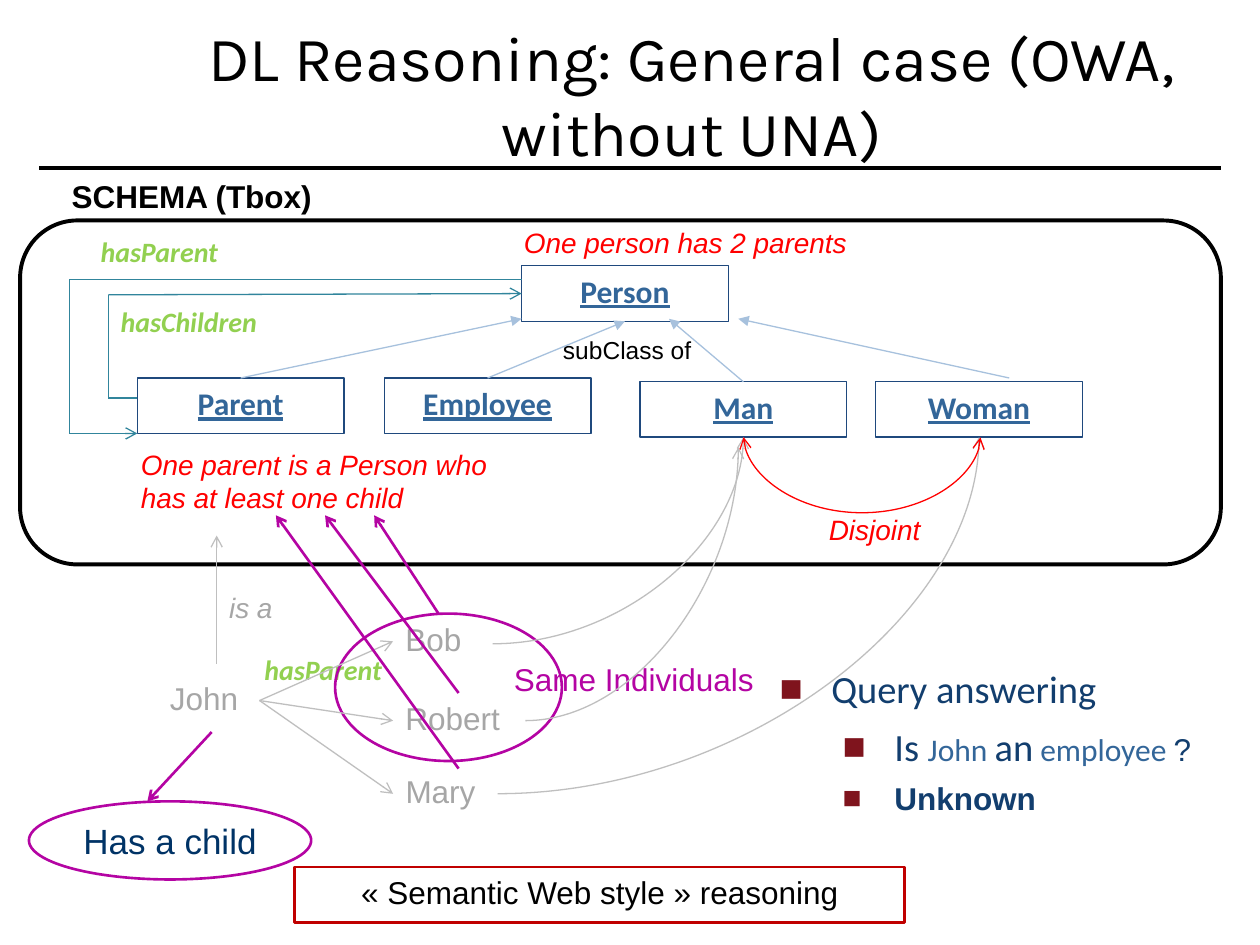
"""Build the slide on description logic reasoning in the general case."""
import pptx
import pptx.util
import pptx.dml.color
import pptx.enum.shapes
import pptx.enum.text
import pptx.oxml.ns
import pptx.oxml.xmlchemy

Pt = pptx.util.Pt
RGB = pptx.dml.color.RGBColor.from_string
qn = pptx.oxml.ns.qn
element = pptx.oxml.xmlchemy.OxmlElement
SHAPE = pptx.enum.shapes.MSO_SHAPE
CONN = pptx.enum.shapes.MSO_CONNECTOR
ANCHOR = pptx.enum.text.MSO_ANCHOR
AUTO = pptx.enum.text.MSO_AUTO_SIZE
LEFT, CENTER = pptx.enum.text.PP_ALIGN.LEFT, pptx.enum.text.PP_ALIGN.CENTER

THEME = {
    "title": dict(name="Karla", size=Pt(36), color="000000"),
    "class": dict(name="Calibri", size=Pt(18), bold=True, underline=True, color="336699"),
    "role": dict(name="Calibri", size=Pt(16), bold=True, italic=True, color="92D050"),
    "axiom": dict(name="Arial", size=Pt(16), italic=True, color="FF0000"),
    "schema": dict(name="Arial", size=Pt(18), bold=True, color="000000"),
    "small": dict(name="Arial", size=Pt(14), color="000000"),
    "person": dict(name="Arial", size=Pt(18), color="A6A6A6"),
    "is_a": dict(name="Arial", size=Pt(16), italic=True, color="A6A6A6"),
    "same": dict(name="Arial", size=Pt(18), color="B404A3"),
    "inferred": dict(name="Arial", size=Pt(20), color="003366"),
    "style": dict(name="Arial", size=Pt(18), color="000000"),
    "query": dict(name="Calibri", size=Pt(22), color="123E6E"),
    "term": dict(name="Calibri", size=Pt(18), color="336699"),
    "mark": dict(name="Arial", size=Pt(18), color="123E6E"),
    "answer": dict(name="Arial", size=Pt(18), bold=True, color="123E6E"),
    "black": "000000", "navy": "1F497D", "sky": "A7C1DD", "teal": "31859C",
    "red": "FF0000", "grey": "BFBFBF", "purple": "B404A3", "brick": "C00000",
    "white": "FFFFFF", "bullet": "7F141D",
}

prs = pptx.Presentation()
prs.slide_width, prs.slide_height = pptx.util.Inches(10), pptx.util.Inches(7.5)
col, row = prs.slide_width / 100, prs.slide_height / 75
s = prs.slides.add_slide(prs.slide_layouts[5])


def style(font, fmt):
    for key, value in fmt.items():
        if key == "color":
            font.color.rgb = RGB(value)
        else:
            setattr(font, key, value)


def line(start, end, color, width=0.75, head=None, tail=None, kind=CONN.STRAIGHT):
    c = s.shapes.add_connector(kind, int(start[0] * col), int(start[1] * row),
                               int(end[0] * col), int(end[1] * row))
    c.line.color.rgb, c.line.width = RGB(THEME[color]), Pt(width)
    spPr = c._element.spPr
    for tag, tip in (("a:headEnd", head), ("a:tailEnd", tail)):
        if tip:
            spPr.find(qn("a:ln")).append(element(tag))
            spPr.find(qn("a:ln"))[-1].set("type", tip)
    spPr.append(element("a:effectLst"))
    return c


line((3.1, 13.3), (96.9, 13.3), "black", 2.25)

title = s.shapes.title
title.left, title.top = int(14.8 * col), int(1.6 * row)
title.width, title.height = int(80.2 * col), int(11.7 * row)
tf = title.text_frame
tf.text = "DL Reasoning: General case (OWA, without UNA)"
tf.auto_size, tf.vertical_anchor = AUTO.NONE, ANCHOR.MIDDLE
tf.paragraphs[0].alignment = CENTER
style(tf.paragraphs[0].runs[0].font, THEME["title"])

labels = [
    ("hasChildren", 8.6, 23.7, 15, 3.7, "role", False),
    ("One parent is a Person who has at least one child", 10.2, 35, 30.5, 9.1, "axiom", True),
    ("hasParent", 7, 18.1, 12.9, 3.7, "role", False),
    ("One person has 2 parents", 40.6, 17.4, 30.5, 6.4, "axiom", True),
    ("SCHEMA (Tbox)", 4.7, 13.6, 21.6, 4, "schema", False),
    ("Disjoint", 64.8, 40.2, 9.3, 3.7, "axiom", False),
    ("subClass of", 43.7, 26.1, 12.3, 3.4, "small", False),
    ("John", 12.5, 53.4, 8.1, 4.4, "person", False),
    ("is a", 17.2, 46.4, 5.5, 3.7, "is_a", False),
    ("Bob", 31.2, 48.7, 7, 4.4, "person", False),
    ("Robert", 31.2, 55, 10.4, 4.4, "person", False),
    ("Mary", 31.2, 60.8, 8.2, 4.4, "person", False),
    ("hasParent", 20, 51.3, 12.9, 3.7, "role", False),
    ("Same Individuals", 39.8, 51.9, 21.2, 4, "same", False),
]
nodes = {}
for text, x, y, w, h, fmt, wrap in labels:
    sp = s.shapes.add_textbox(int(x * col), int(y * row), int(w * col), int(h * row))
    tf = sp.text_frame
    tf.text, tf.word_wrap = text, wrap
    style(tf.paragraphs[0].runs[0].font, THEME[fmt])
    nodes[text] = sp

shapes = [
    (SHAPE.RECTANGLE, "Person", 41.4, 21.1, 16.4, 4.4, "class", "navy", 0.75, None),
    (SHAPE.RECTANGLE, "Parent", 10.9, 30, 16.4, 4.4, "class", "navy", 0.75, None),
    (SHAPE.RECTANGLE, "Employee", 30.5, 30, 16.4, 4.4, "class", "navy", 0.75, None),
    (SHAPE.RECTANGLE, "Man", 50.8, 30.3, 16.4, 4.4, "class", "navy", 0.75, None),
    (SHAPE.RECTANGLE, "Woman", 69.5, 30.3, 16.4, 4.4, "class", "navy", 0.75, None),
    (SHAPE.FLOWCHART_ALTERNATE_PROCESS, "", 1.6, 17.5, 95.3, 27.3, None, "black", 2.25, None),
    (SHAPE.OVAL, "", 26.6, 48.7, 18, 11.7, None, "purple", 1.5, None),
    (SHAPE.OVAL, "Has a child", 2.3, 63.6, 22.4, 6.2, "inferred", "purple", 1.5, None),
    (SHAPE.RECTANGLE, "« Semantic Web style » reasoning", 23.4, 68.8, 48.4, 4.4,
     "style", "brick", 1.5, "white"),
]
for kind, text, x, y, w, h, fmt, edge, width, fill in shapes:
    sp = s.shapes.add_shape(kind, int(x * col), int(y * row), int(w * col), int(h * row))
    sp.shadow.inherit = False
    sp.line.color.rgb, sp.line.width = RGB(THEME[edge]), Pt(width)
    if fill:
        sp.fill.solid()
        sp.fill.fore_color.rgb = RGB(THEME[fill])
    else:
        sp.fill.background()
    if text:
        tf = sp.text_frame
        tf.text, tf.word_wrap = text, kind != SHAPE.OVAL
        tf.vertical_anchor = ANCHOR.MIDDLE if kind == SHAPE.OVAL else ANCHOR.TOP
        tf.paragraphs[0].alignment = CENTER
        style(tf.paragraphs[0].runs[0].font, THEME[fmt])
        nodes[text] = sp

for name, start, end in (("Parent", (19.1, 30), (41.4, 25.3)), ("Employee", (38.7, 30), (49.6, 25.5)),
                         ("Man", (59, 30), (53.1, 25.3)), ("Woman", (80.1, 30), (58.6, 25.3))):
    c = line(start, end, "sky", tail="triangle")
    if name != "Woman":
        c.begin_connect(nodes[name], 0)
    if name == "Employee":
        c.end_connect(nodes["Person"], 2)

for points in ([(10.9, 31.6), (8.6, 31.6), (8.6, 23.4), (41.4, 23.2)],
               [(41.4, 22.2), (5.5, 22.2), (5.5, 34.4), (10.9, 34.4)]):
    for i in range(3):
        c = line(points[i], points[i + 1], "teal", tail="arrow" if i == 2 else None)
    if points[-1][0] == 41.4:
        c.end_connect(nodes["Person"], 1)

line((17.2, 52.7), (17.2, 42.5), "grey", tail="arrow")
for name in ("Bob", "Robert", "Mary"):
    c = line((20.6, 55.6), (31.2, 55.6), "grey", tail="arrow")
    c.begin_connect(nodes["John"], 3)
    c.end_connect(nodes[name], 1)

for start, end in (((39.1, 51.1), (59, 34.7)), ((41.7, 57.2), (58.6, 35.5)), ((39.5, 63), (77.7, 34.7))):
    c = line(start, end, "grey", tail="arrow", kind=CONN.CURVE)
    c._element.spPr.find(qn("a:prstGeom")).set("prst", "curvedConnector2")

disjoint = line((68.42, 25.3), (68.4, 44.1), "red", head="arrow", tail="arrow", kind=CONN.CURVE)
spPr = disjoint._element.spPr
spPr.find(qn("a:xfrm")).set("rot", str(270 * 60000))
guides = spPr.find(qn("a:prstGeom")).get_or_add_avLst()
guides.append(element("a:gd"))
guides[-1].set("name", "adj1")
guides[-1].set("fmla", f"val {int(6.1 * row / disjoint.width * 100000)}")

for start, end in (((34.8, 48.7), (29.7, 40.9)), ((36.4, 55), (25.8, 40.9)),
                   ((36.4, 61), (21.9, 40.9)), ((16.8, 58.1), (11.7, 63.6))):
    line(start, end, "purple", 1.5, tail="arrow")

query = [
    (0.41, 0, [("Query answering", "query")]),
    (0.91, 6.6, [("Is ", "query"), ("John ", "term"), ("an", "query"), (" employee ", "term"), ("?", "mark")]),
    (0.91, 5.4, [("Unknown", "answer")]),
]
tf = s.shapes.add_textbox(int(60.9 * col), int(52.3 * row), int(38 * col), int(14 * row)).text_frame
tf.word_wrap = True
for i, (indent, gap, runs) in enumerate(query):
    p = tf.paragraphs[0] if i == 0 else tf.add_paragraph()
    p.level, p.alignment = min(i, 1), LEFT
    pPr = p._p.get_or_add_pPr()
    pPr.set("marL", str(pptx.util.Inches(indent)))
    pPr.set("indent", str(pptx.util.Inches(-0.41)))
    if gap:
        p.space_before = Pt(gap)
    for tag, key, value in (("a:buClr", None, None), ("a:buFont", "typeface", "Arial"), ("a:buChar", "char", "■")):
        bu = element(tag)
        if key:
            bu.set(key, value)
        else:
            bu.append(element("a:srgbClr"))
            bu[0].set("val", THEME["bullet"])
        pPr.append(bu)
    for text, fmt in runs:
        r = p.add_run()
        r.text = text
        style(r.font, THEME[fmt])

prs.save("out.pptx")
